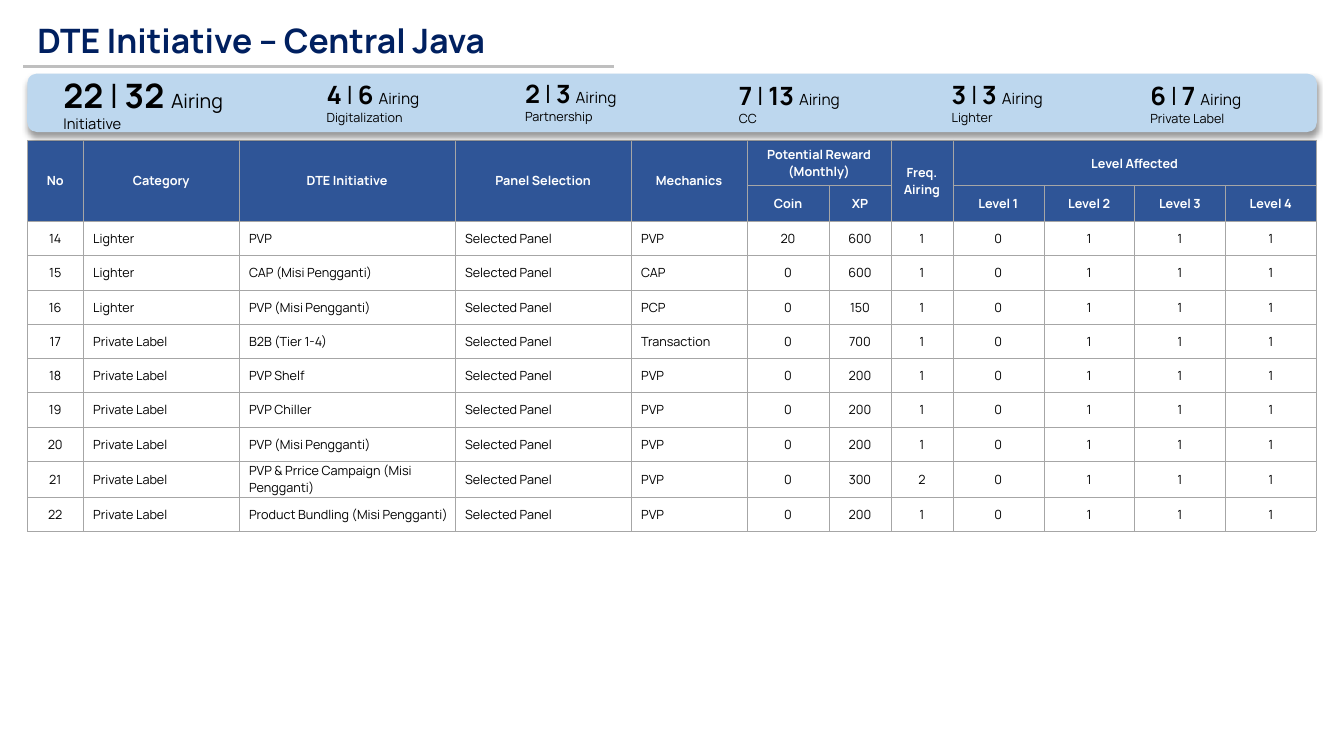
from dataclasses import dataclass

from lxml import etree
from pptx import Presentation
from pptx.dml.color import RGBColor
from pptx.enum.shapes import MSO_CONNECTOR, MSO_SHAPE
from pptx.enum.text import MSO_ANCHOR, MSO_AUTO_SIZE, PP_ALIGN
from pptx.oxml.ns import qn
from pptx.util import Inches, Pt

STRAIGHT = MSO_CONNECTOR.STRAIGHT
ROUNDED = MSO_SHAPE.ROUNDED_RECTANGLE
MIDDLE = MSO_ANCHOR.MIDDLE
NO_AUTOFIT = MSO_AUTO_SIZE.NONE
LEFT = PP_ALIGN.LEFT
CENTER = PP_ALIGN.CENTER


@dataclass(frozen=True)
class Theme:
    font: str = "Manrope"
    navy: str = "002060"
    header: str = "2F5597"
    banner: str = "BDD7EE"
    rule: str = "BFBFBF"
    border: str = "A6A6A6"
    black: str = "000000"
    white: str = "FFFFFF"
    title_size: float = 24
    table_size: float = 9
    total_sizes: tuple = (24, 14, 10.5)
    metric_sizes: tuple = (18, 11, 9)


class SlideBuilder:
    def __init__(self, presentation, theme):
        self.theme = theme
        self.width = presentation.slide_width
        self.height = presentation.slide_height
        self.slide = presentation.slides.add_slide(presentation.slide_layouts[5])

    def across(self, percent):
        return round(self.width * percent / 100)

    def down(self, percent):
        return round(self.height * percent / 100)

    def frame(self, left, top, width, height):
        return self.across(left), self.down(top), self.across(width), self.down(height)

    def style(self, run, size, color, bold=False):
        run.font.name = self.theme.font
        run.font.size = Pt(size)
        run.font.bold = bold
        run.font.color.rgb = RGBColor.from_string(color)

    def rule(self, left, right, top):
        y = self.down(top)
        line = self.slide.shapes.add_connector(
            STRAIGHT, self.across(left), y, self.across(right), y)
        line.line.color.rgb = RGBColor.from_string(self.theme.rule)
        line.line.width = Pt(1.5)
        etree.SubElement(line._element.spPr, qn("a:effectLst"))

    def title(self, text, *box):
        title = self.slide.shapes.title
        title.left, title.top, title.width, title.height = self.frame(*box)
        text_frame = title.text_frame
        text_frame.text = text
        text_frame.auto_size = NO_AUTOFIT
        text_frame.vertical_anchor = MIDDLE
        paragraph = text_frame.paragraphs[0]
        paragraph.alignment = LEFT
        paragraph.line_spacing = 0.9
        self.style(paragraph.runs[0], self.theme.title_size, self.theme.navy, True)

    def banner(self, *box):
        shape = self.slide.shapes.add_shape(ROUNDED, *self.frame(*box))
        shape.fill.solid()
        shape.fill.fore_color.rgb = RGBColor.from_string(self.theme.banner)
        shape.line.fill.background()
        shape.shadow.inherit = False
        effects = shape._element.spPr.find(qn("a:effectLst"))
        shadow = etree.SubElement(
            effects, qn("a:outerShdw"), blurRad=str(Pt(4)), dist=str(Pt(3)),
            dir="5400000", algn="t", rotWithShape="0")
        color = etree.SubElement(shadow, qn("a:srgbClr"), val=self.theme.black)
        etree.SubElement(color, qn("a:alpha"), val="40000")

    def metric(self, count, airing, label, sizes, *box):
        number_size, airing_size, label_size = sizes
        text_frame = self.slide.shapes.add_textbox(*self.frame(*box)).text_frame
        text_frame.word_wrap = True
        paragraph = text_frame.paragraphs[0]
        for text, size, bold in ((count, number_size, True), (" I ", number_size, False),
                                 (f"{airing} ", number_size, True),
                                 ("Airing", airing_size, False)):
            run = paragraph.add_run()
            run.text = text
            self.style(run, size, self.theme.black, bold)
        paragraph = text_frame.add_paragraph()
        paragraph.text = label
        self.style(paragraph.runs[0], label_size, self.theme.black)

    def table(self, left, top, columns, rows):
        shape = self.slide.shapes.add_table(
            len(rows), len(columns), *self.frame(left, top, sum(columns), sum(rows)))
        table = shape.table
        table.first_row = False
        table.horz_banding = False
        for column, width in zip(table.columns, columns):
            column.width = self.across(width)
        for row, height in zip(table.rows, rows):
            row.height = self.down(height)
        return table

    def cell(self, cell, text="", header=False, alignment=CENTER):
        properties = cell._tc.get_or_add_tcPr()
        for side in ("a:lnL", "a:lnR", "a:lnT", "a:lnB"):
            line = etree.SubElement(properties, qn(side), w=str(Pt(0.25)))
            fill = etree.SubElement(line, qn("a:solidFill"))
            etree.SubElement(fill, qn("a:srgbClr"), val=self.theme.border)
        if header:
            cell.fill.solid()
            cell.fill.fore_color.rgb = RGBColor.from_string(self.theme.header)
        else:
            cell.fill.background()
        cell.vertical_anchor = MIDDLE
        cell.margin_left = Inches(0.1 if alignment == LEFT else 0.01)
        cell.margin_right = cell.margin_top = Inches(0.01)
        cell.margin_bottom = 0
        cell.text_frame.text = text
        paragraph = cell.text_frame.paragraphs[0]
        paragraph.alignment = alignment
        color = self.theme.white if header else self.theme.black
        for run in paragraph.runs:
            self.style(run, self.theme.table_size, color, header)


COLUMNS = [4.16, 11.6, 16.07, 13.1, 8.63, 6.1, 4.61, 4.61] + [6.76] * 4
HEADER_ROWS = [6, 4.67]
BODY_ROW = 4.54
TEXT_COLUMNS = range(1, 5)
FIRST_NUMBER = 14

HEADERS = (
    ("No", "Category", "DTE Initiative", "Panel Selection", "Mechanics",
     "Potential Reward (Monthly)", "", "Freq. Airing", "Level Affected", "", "", ""),
    ("", "", "", "", "", "Coin", "XP", "", "Level 1", "Level 2", "Level 3", "Level 4"),
)
MERGES = [((0, column), (1, column)) for column in (0, 1, 2, 3, 4, 7)]
MERGES += [((0, 5), (0, 6)), ((0, 8), (0, 11))]

INITIATIVES = (
    ("Lighter", "PVP", "PVP", 20, 600, 1),
    ("Lighter", "CAP (Misi Pengganti)", "CAP", 0, 600, 1),
    ("Lighter", "PVP (Misi Pengganti)", "PCP", 0, 150, 1),
    ("Private Label", "B2B (Tier 1-4)", "Transaction", 0, 700, 1),
    ("Private Label", "PVP Shelf", "PVP", 0, 200, 1),
    ("Private Label", "PVP Chiller", "PVP", 0, 200, 1),
    ("Private Label", "PVP (Misi Pengganti)", "PVP", 0, 200, 1),
    ("Private Label", "PVP & Prrice Campaign (Misi Pengganti)", "PVP", 0, 300, 2),
    ("Private Label", "Product Bundling (Misi Pengganti)", "PVP", 0, 200, 1),
)
LEVELS = (0, 1, 1, 1)

METRICS = (
    ("4", "6", "Digitalization", 23.56, 9.87),
    ("2", "3", "Partnership", 38.33, 9.73),
    ("7", "13", "CC", 54.24, 10),
    ("3", "3", "Lighter", 70.07, 9.87),
    ("6", "7", "Private Label", 84.85, 10),
)


def main():
    presentation = Presentation()
    presentation.slide_width = Inches(13.33)
    presentation.slide_height = Inches(7.5)
    theme = Theme()
    builder = SlideBuilder(presentation, theme)

    builder.rule(1.73, 45.69, 8.8)
    builder.title("DTE Initiative – Central Java", 2.03, 1.6, 87.77, 8)

    table = builder.table(2.03, 18.53, COLUMNS, HEADER_ROWS + [BODY_ROW] * len(INITIATIVES))
    for row, headings in enumerate(HEADERS):
        for column, heading in enumerate(headings):
            builder.cell(table.cell(row, column), heading, header=True)
    for first, last in MERGES:
        table.cell(*first).merge(table.cell(*last))
    for index, (category, initiative, mechanics, *numbers) in enumerate(INITIATIVES):
        values = (FIRST_NUMBER + index, category, initiative, "Selected Panel",
                  mechanics, *numbers, *LEVELS)
        for column, value in enumerate(values):
            alignment = LEFT if column in TEXT_COLUMNS else CENTER
            builder.cell(table.cell(len(HEADERS) + index, column), str(value),
                         alignment=alignment)

    builder.banner(2.03, 9.73, 95.95, 7.73)
    builder.metric("22", "32", "Initiative", theme.total_sizes, 3.98, 9.2, 15.98, 9.07)
    for count, airing, label, left, top in METRICS:
        builder.metric(count, airing, label, theme.metric_sizes, left, top, 11.33, 7.6)

    presentation.save("out.pptx")


if __name__ == "__main__":
    main()
